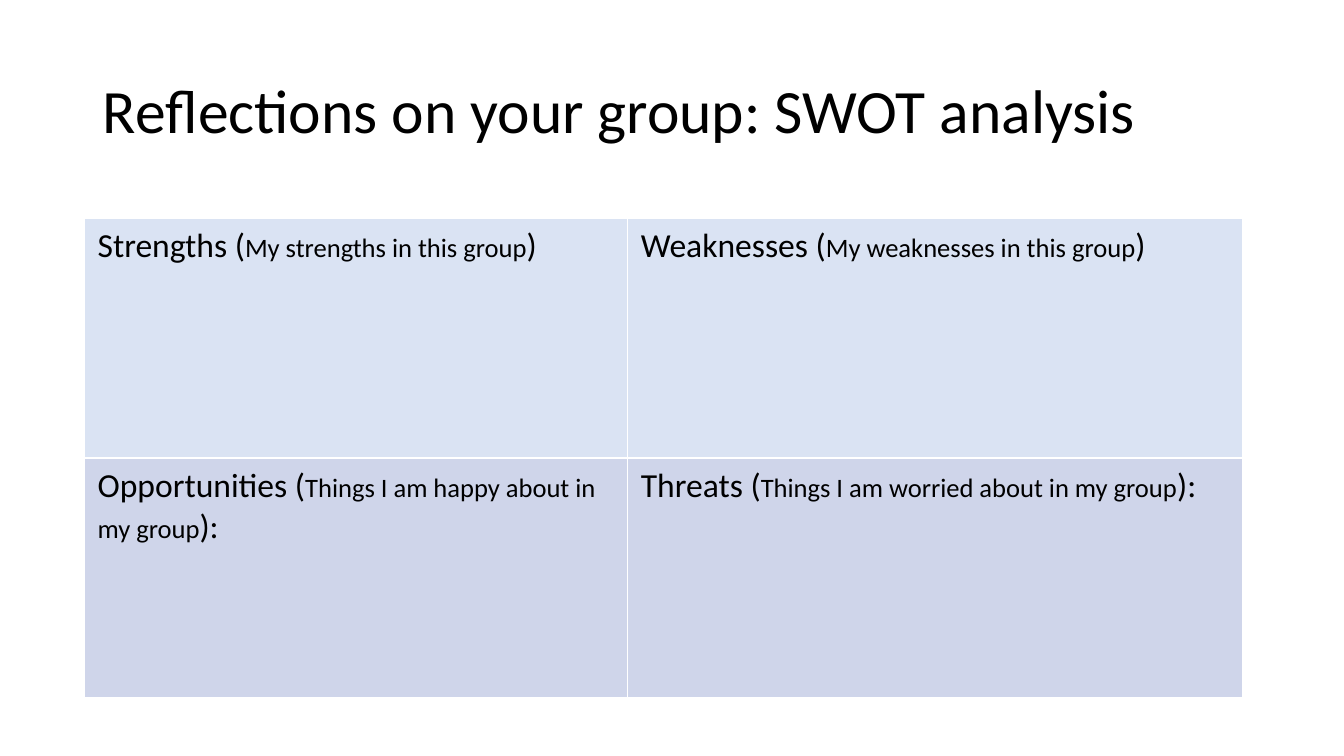
from dataclasses import dataclass

from lxml import etree
from pptx import Presentation
from pptx.dml.color import RGBColor
from pptx.enum.text import MSO_ANCHOR, PP_ALIGN
from pptx.oxml.ns import qn
from pptx.util import Cm, Pt

MIDDLE = MSO_ANCHOR.MIDDLE
LEFT = PP_ALIGN.LEFT
TITLE_ONLY = 5

TITLE = "Reflections on your group: SWOT analysis"
SWOT = [
    [("Strengths (", "My strengths in this group", ")"),
     ("Weaknesses (", "My weaknesses in this group", ")")],
    [("Opportunities (", "Things I am happy about in my group", "):"),
     ("Threats (", "Things I am worried about in my group", "):")],
]


@dataclass(frozen=True)
class Theme:
    font: str = "Calibri"
    text: str = "000000"
    border: str = "FFFFFF"
    row_fills: tuple = ("DAE3F3", "CFD5EA")
    title_size: int = 44
    heading_size: int = 24
    prompt_size: int = 19
    border_width: int = 1


THEME = Theme()
SLIDE_SIZE = Cm(33.87), Cm(19.05)
TITLE_BOX = {"left": Cm(2.34), "top": Cm(1.02), "width": Cm(29.21), "height": Cm(3.68)}
TABLE_LEFT, TABLE_TOP = Cm(2.13), Cm(5.51)
COL_WIDTHS = Cm(13.69), Cm(15.49)
ROW_HEIGHT = Cm(6.03)
CELL_MARGINS = {"margin_left": Cm(0.33), "margin_right": Cm(0.33),
                "margin_top": Cm(0.18), "margin_bottom": Cm(0.18)}


def apply(obj, values):
    for name, value in values.items():
        setattr(obj, name, value)


def add_run(p, text, size):
    r = p.add_run()
    r.text = text
    apply(r.font, {"name": THEME.font, "size": Pt(size), "bold": False})
    r.font.color.rgb = RGBColor.from_string(THEME.text)


def add_borders(cell):
    tcPr = cell._tc.get_or_add_tcPr()
    for side in ("lnL", "lnR", "lnT", "lnB"):
        ln = etree.SubElement(tcPr, qn(f"a:{side}"), w=str(Pt(THEME.border_width)))
        fill = etree.SubElement(ln, qn("a:solidFill"))
        etree.SubElement(fill, qn("a:srgbClr"), val=THEME.border)


def add_title(s):
    sp = s.shapes.title
    apply(sp, TITLE_BOX)
    tf = sp.text_frame
    apply(tf, {"vertical_anchor": MIDDLE, "word_wrap": True})
    p = tf.paragraphs[0]
    apply(p, {"alignment": LEFT, "line_spacing": 0.9})
    add_run(p, TITLE, THEME.title_size)


def add_swot_table(s):
    table = s.shapes.add_table(len(SWOT), len(COL_WIDTHS), TABLE_LEFT, TABLE_TOP,
                               sum(COL_WIDTHS), ROW_HEIGHT * len(SWOT)).table
    apply(table, {"first_row": False, "horz_banding": False})
    for col, width in zip(table.columns, COL_WIDTHS):
        col.width = width
    sizes = THEME.heading_size, THEME.prompt_size, THEME.heading_size
    for row, entries, color in zip(table.rows, SWOT, THEME.row_fills):
        row.height = ROW_HEIGHT
        for cell, parts in zip(row.cells, entries):
            apply(cell, CELL_MARGINS)
            add_borders(cell)
            cell.fill.solid()
            cell.fill.fore_color.rgb = RGBColor.from_string(color)
            for text, size in zip(parts, sizes):
                add_run(cell.text_frame.paragraphs[0], text, size)


def main():
    prs = Presentation()
    prs.slide_width, prs.slide_height = SLIDE_SIZE
    s = prs.slides.add_slide(prs.slide_layouts[TITLE_ONLY])
    add_title(s)
    add_swot_table(s)
    prs.save("out.pptx")


if __name__ == "__main__":
    main()
